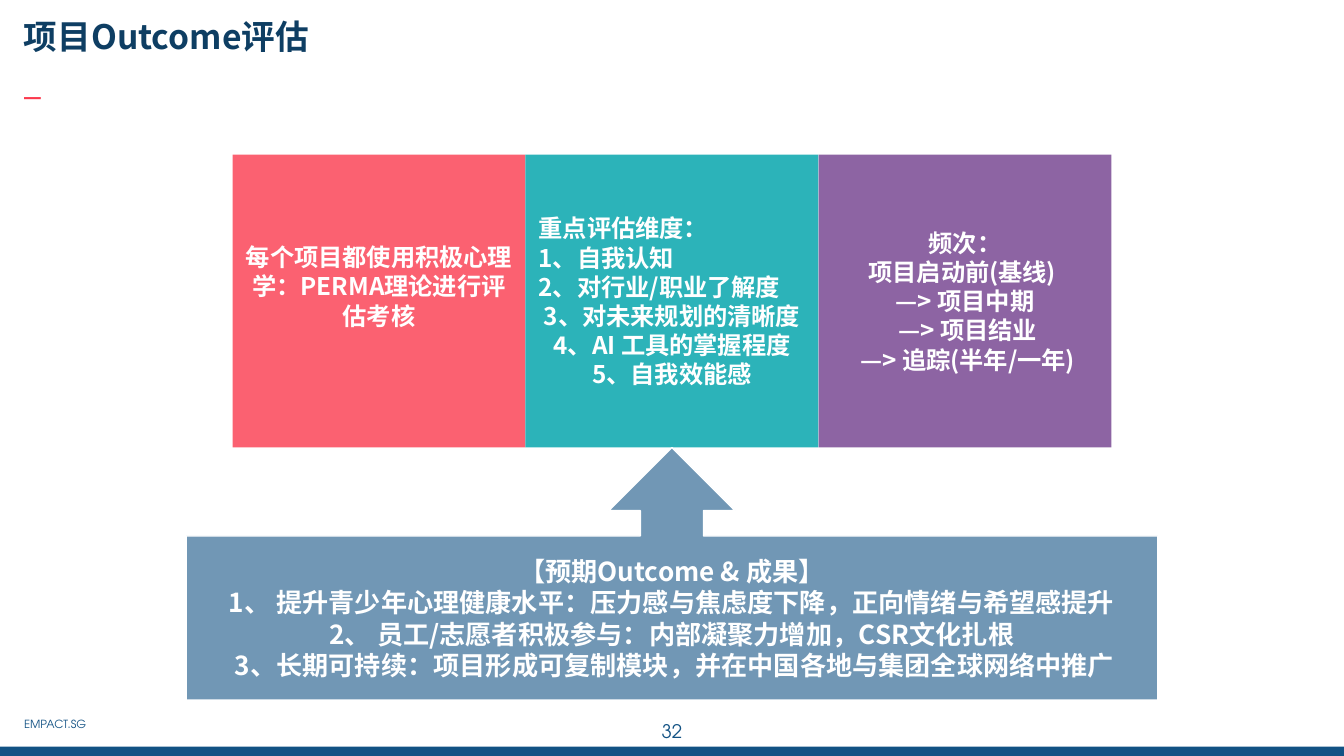
from lxml.etree import SubElement
from pptx import Presentation
from pptx.dml.color import RGBColor
from pptx.enum.shapes import MSO_SHAPE
from pptx.enum.text import MSO_ANCHOR, PP_ALIGN
from pptx.oxml.ns import qn
from pptx.util import Inches, Pt

WIDE = 10
HIGH = WIDE * 9 / 16
SIDE = 2.18
LEFT, TOP = (WIDE - 3 * SIDE) / 2, 1.15
HAN, LATIN = "Noto Sans CJK SC", "TeX Gyre Adventor"
NAVY, WHITE = "125284", "FFFFFF"
MID, START = PP_ALIGN.CENTER, PP_ALIGN.LEFT

TILES = [
    ("FB6171", [(MID, "每个项目都使用积极心理学：PERMA理论进行评估考核")], 0.32),
    ("2CB3B9", [
        (START, "重点评估维度：\v1、自我认知\v2、对行业/职业了解度"),
        (MID, "3、对未来规划的清晰度"),
        (MID, "4、AI 工具的掌握程度"),
        (MID, "5、自我效能感"),
    ], 0.1),
    ("8D64A3", [
        (MID, "频次："),
        (MID, "项目启动前(基线) "),
        (MID, "—> 项目中期"),
        (MID, " —> 项目结业"),
        (MID, " —> 追踪(半年/一年)"),
    ], 0.1),
]
GOALS = [(MID, "\v".join([
    "【预期Outcome & 成果】",
    " 1、 提升青少年心理健康水平：压力感与焦虑度下降，正向情绪与希望感提升 ",
    "2、 员工/志愿者积极参与：内部凝聚力增加，CSR文化扎根",
    " 3、长期可持续：项目形成可复制模块，并在中国各地与集团全球网络中推广",
]))]


def tint(part, code):
    part.rgb = RGBColor.from_string(code)


def apply(part, form):
    for key, value in form.items():
        setattr(part, key, value)


def write(shape, lines, size, face, code, bold=False, pad=0.1, head=None, base=None):
    frame = shape.text_frame
    edge = Inches(pad)
    apply(frame, {
        "word_wrap": True, "margin_left": edge, "margin_right": edge,
        "margin_top": edge if head is None else Inches(head),
        "margin_bottom": edge if base is None else Inches(base),
    })
    for rank, (align, text) in enumerate(lines):
        para = frame.add_paragraph() if rank else frame.paragraphs[0]
        para.text = text
        para.alignment = align
        for run in para.runs:
            apply(run.font, {"size": Pt(size), "name": face, "bold": bold})
            tint(run.font.color, code)
            SubElement(run.font._element, qn("a:ea")).set("typeface", face)


def block(slide, kind, box, code):
    shape = slide.shapes.add_shape(kind, *map(Inches, box))
    shape.shadow.inherit = False
    shape.fill.solid()
    tint(shape.fill.fore_color, code)
    shape.line.fill.background()
    shape.text_frame.vertical_anchor = MSO_ANCHOR.MIDDLE
    return shape


def label(slide, box, text, size, face, code, align=START, **form):
    shape = slide.shapes.add_textbox(*map(Inches, box))
    write(shape, [(align, text)], size, face, code, **form)


def furnish(slide):
    label(slide, (WIDE * 0.47, 5.26, WIDE * 0.06, 0.43), "32", 10, LATIN, NAVY, MID,
          head=0.12)
    label(slide, (0.18, 0.55, 3.32, 0.3), "–", 18, LATIN, "FB394D", pad=0)
    label(slide, (0.18, 5.34, 0.73, 0.12), "EMPACT.SG", 6, LATIN, NAVY, pad=0)
    block(slide, MSO_SHAPE.RECTANGLE, (0, HIGH - 0.07, WIDE, 0.07), NAVY)
    label(slide, (0.08, 0.07, 5.85, 0.4), "项目Outcome评估", 18, HAN, "0E3E63",
          bold=True, head=0.05, base=0.05)


def tiles(slide):
    for col, (code, lines, base) in enumerate(TILES):
        box = (LEFT + col * SIDE, TOP, SIDE, SIDE)
        tile = block(slide, MSO_SHAPE.RECTANGLE, box, code)
        write(tile, lines, 13, HAN, WHITE, bold=True, base=base)


def callout(slide):
    span = 7.23
    box = ((WIDE - span) / 2, TOP + SIDE, span, 1.88)
    shape = block(slide, MSO_SHAPE.UP_ARROW_CALLOUT, box, "7197B5")
    for rank, share in enumerate((0.25, 0.25, 0.25, 0.65)):
        shape.adjustments[rank] = share
    tint(shape.line.color, WHITE)
    shape.line.width = Pt(0.75)
    write(shape, GOALS, 14, HAN, WHITE, bold=True)


def main():
    deck = Presentation()
    apply(deck, {"slide_width": Inches(WIDE), "slide_height": Inches(HIGH)})
    slide = deck.slides.add_slide(deck.slide_layouts[6])
    furnish(slide)
    tiles(slide)
    callout(slide)
    deck.save("out.pptx")


if __name__ == "__main__":
    main()
